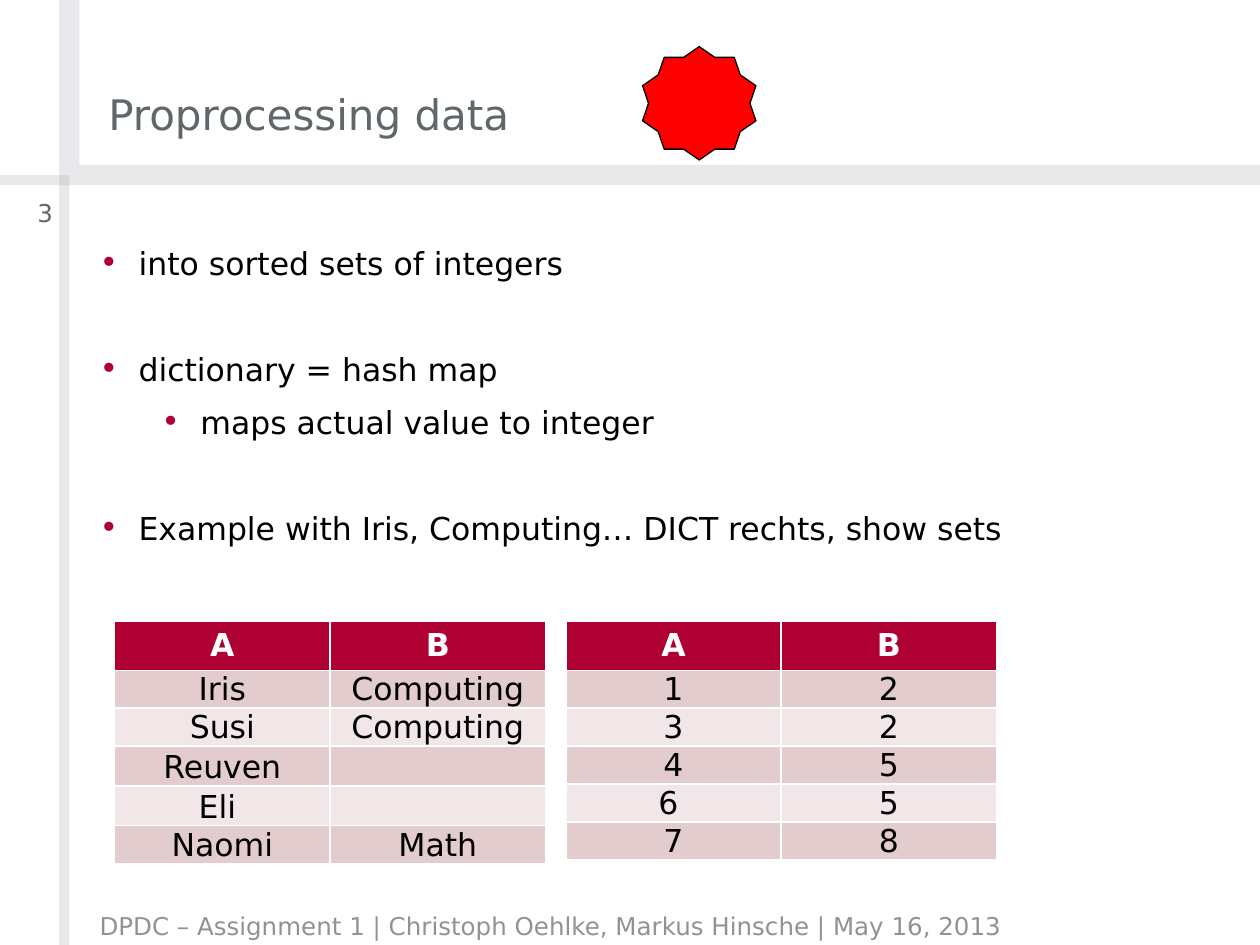
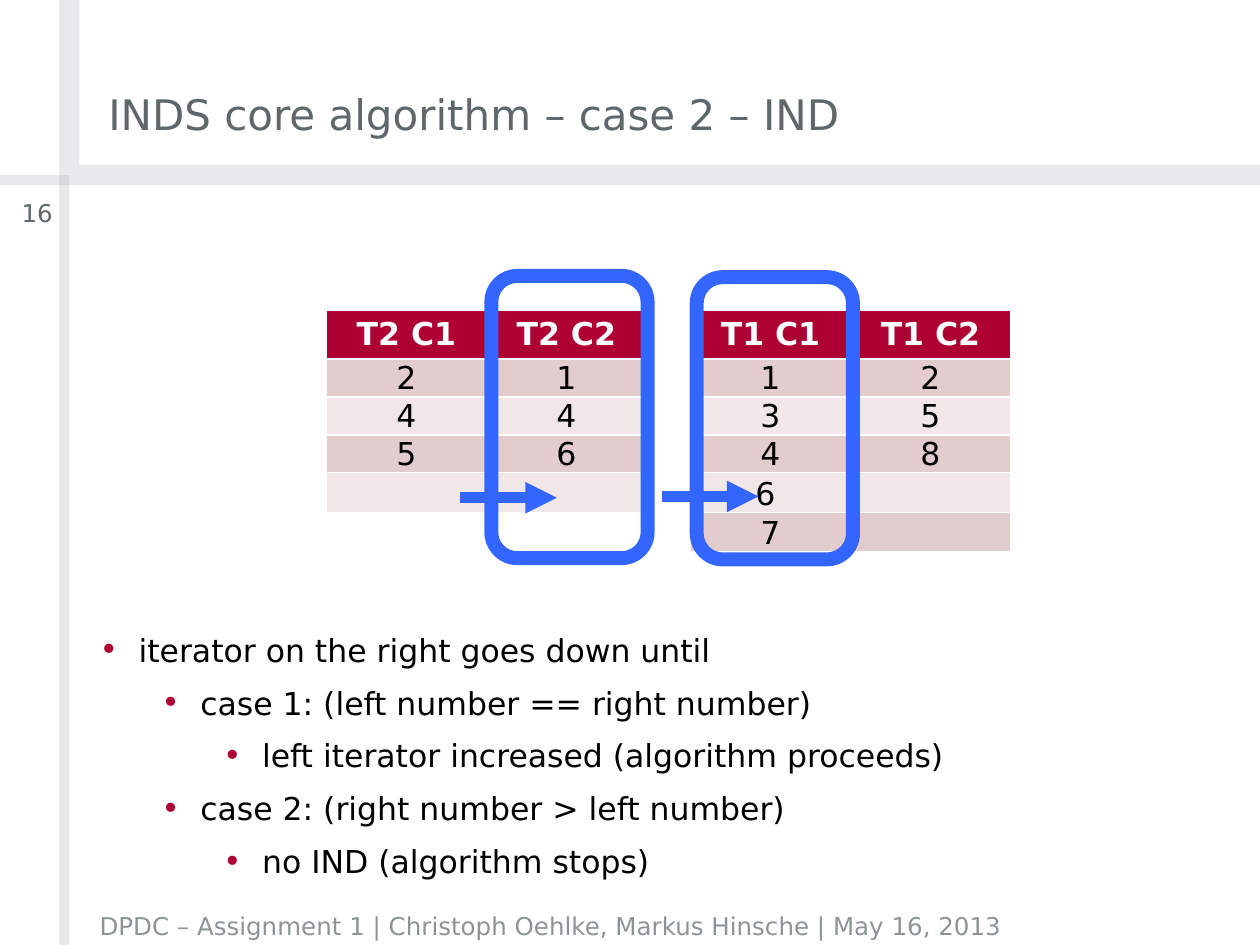
from lxml.etree import SubElement
from pptx import Presentation
from pptx.dml.color import RGBColor
from pptx.enum.shapes import MSO_CONNECTOR, MSO_SHAPE
from pptx.enum.text import MSO_ANCHOR as Anchor, MSO_AUTO_SIZE, PP_ALIGN as Align
from pptx.oxml.ns import qn
from pptx.util import Inches, Pt

# Shared look
FONT = "DejaVu Sans"
CRIMSON, GREY, LIGHT_GREY = "AF0034", "60676A", "8E9496"
BLACK, WHITE, RED, BLUE = "000000", "FFFFFF", "FF0000", "3366FF"
ROW_FILLS = ("E3CCCE", "F2E7E8")
WIDTH, HEIGHT = 10, 7.5
RAIL, BAND_TOP, BAND_BOTTOM = 0.47, 1.31, 1.47
BAND = BAND_BOTTOM - BAND_TOP
CONTENT_LEFT, CONTENT_WIDTH = 0.79, 8.94
HEADER_ROW, BODY_ROW = 0.37, 0.3
LINE_PITCH, SPACE_BEFORE = 30.3, 5.4
FOOTER = "DPDC – Assignment 1 | Christoph Oehlke, Markus Hinsche | May 16, 2013"

# Content: bullets are (level, text, lines of gap above)
PREPROCESSING = {
    "number": "3",
    "title": "Proprocessing data",
    "body": (1.89, 5.24),
    "bullets": [
        (0, "into sorted sets of integers", 0),
        (0, "dictionary = hash map", 1),
        (1, "maps actual value to integer", 0),
        (0, "Example with Iris, Computing… DICT rechts, show sets", 1),
    ],
    "tables": [
        (0.91, 4.93, 1.71, [("A", "B"), ("Iris", "Computing"), ("Susi", "Computing"),
                            ("Reuven", ""), ("Eli ", ""), ("Naomi", "Math")]),
        (4.49, 4.93, 1.71, [("A", "B"), ("1", "2"), ("3", "2"),
                            ("4", "5"), ("6 ", "5"), ("7", "8")]),
    ],
}
CORE_ALGORITHM = {
    "number": "16",
    "title": "INDS core algorithm – case 2 – IND",
    "body": (4.96, 2.18),
    "bullets": [
        (0, "iterator on the right goes down until", 0),
        (1, "case 1: (left number == right number)", 0),
        (2, "left iterator increased (algorithm proceeds)", 0),
        (1, "case 2: (right number > left number)", 0),
        (2, "no IND (algorithm stops)", 0),
    ],
    "tables": [
        (5.48, 2.46, 1.27, [("T1 C1", "T1 C2"), ("1", "2"), ("3", "5"),
                            ("4", "8"), ("6 ", ""), ("7", "")]),
        (2.59, 2.46, 1.27, [("T2 C1", "T2 C2"), ("2", "1"), ("4", "4"),
                            ("5", "6"), ("", "")]),
    ],
}
STAR = (5.1, 0.37, 0.9)
COLUMN_FRAMES = [(3.9, 2.19), (5.53, 2.2)]
FRAME_SIZE = (1.24, 2.24)
ITERATOR_ARROWS = [(3.65, 3.95), (5.25, 3.94)]
ARROW_LENGTH = 0.77


def color(value):
    return RGBColor.from_string(value)


def box(*lengths):
    return [Inches(length) for length in lengths]


def place(shape, left, top, width, height):
    shape.left, shape.top, shape.width, shape.height = box(left, top, width, height)


def add_run(paragraph, text, size, text_color, bold=False):
    run = paragraph.add_run()
    run.text = text
    run.font.name, run.font.size, run.font.bold = FONT, Pt(size), bold
    run.font.color.rgb = color(text_color)


def prepare_frame(frame, anchor):
    frame.margin_left = frame.margin_top = frame.margin_right = frame.margin_bottom = 0
    frame.word_wrap = True
    frame.auto_size = MSO_AUTO_SIZE.NONE
    frame.vertical_anchor = anchor


def add_label(slide, area, text, text_color, anchor, align):
    frame = slide.shapes.add_textbox(*box(*area)).text_frame
    prepare_frame(frame, anchor)
    frame.paragraphs[0].alignment = align
    add_run(frame.paragraphs[0], text, 14, text_color)


def add_figure(slide, kind, area, fill=None, line=None, line_width=0.75):
    shape = slide.shapes.add_shape(kind, *box(*area))
    shape.shadow.inherit = False
    if fill:
        shape.fill.solid()
        shape.fill.fore_color.rgb = color(fill)
    else:
        shape.fill.background()
    if line:
        shape.line.color.rgb = color(line)
        shape.line.width = Pt(line_width)
    else:
        shape.line.fill.background()
    return shape


def add_bands(slide):
    half = BAND / 2
    bands = [
        (RAIL, 0, BAND, BAND_TOP),
        (RAIL, BAND_TOP, WIDTH - RAIL, BAND),
        (RAIL, BAND_BOTTOM, half, HEIGHT - BAND_BOTTOM),
        (0, BAND_BOTTOM - half, RAIL + half, half),
    ]
    for area in bands:
        band = add_figure(slide, MSO_SHAPE.RECTANGLE, area, LIGHT_GREY)
        fill_color = band.fill._xPr.find(qn("a:solidFill"))[0]
        SubElement(fill_color, qn("a:alpha"), val="20000")


def add_bullets(frame, bullets):
    for index, (level, text, gap) in enumerate(bullets):
        paragraph = frame.paragraphs[0] if index == 0 else frame.add_paragraph()
        paragraph.level = level
        paragraph.alignment = Align.LEFT
        paragraph.line_spacing = 1.15
        paragraph.space_before = Pt(SPACE_BEFORE + gap * LINE_PITCH)
        properties = paragraph._p.get_or_add_pPr()
        properties.set("marL", str(Inches(0.31 + 0.49 * level)))
        properties.set("indent", str(Inches(-0.31)))
        bullet_color = SubElement(properties, qn("a:buClr"))
        SubElement(bullet_color, qn("a:srgbClr"), val=CRIMSON)
        SubElement(properties, qn("a:buFont"), typeface=FONT)
        SubElement(properties, qn("a:buChar"), char="•")
        add_run(paragraph, text, 18, BLACK)


def add_data_table(slide, left, top, column_width, rows):
    columns = len(rows[0])
    height = HEADER_ROW + BODY_ROW * (len(rows) - 1)
    table = slide.shapes.add_table(
        len(rows), columns, *box(left, top, column_width * columns, height)).table
    for column in table.columns:
        column.width = Inches(column_width)
    for row_index, values in enumerate(rows):
        header = row_index == 0
        table.rows[row_index].height = Inches(HEADER_ROW if header else BODY_ROW)
        for column_index, value in enumerate(values):
            cell = table.cell(row_index, column_index)
            cell.fill.solid()
            cell.fill.fore_color.rgb = color(
                CRIMSON if header else ROW_FILLS[(row_index - 1) % 2])
            if not header:
                cell.margin_left = cell.margin_top = cell.margin_right = Inches(0.01)
                cell.margin_bottom = 0
                cell.vertical_anchor = Anchor.BOTTOM
            paragraph = cell.text_frame.paragraphs[0]
            paragraph.alignment = Align.CENTER
            if value:
                add_run(paragraph, value, 18, WHITE if header else BLACK, header)


def add_arrow(slide, left, top):
    arrow = slide.shapes.add_connector(
        MSO_CONNECTOR.STRAIGHT, *box(left, top, left + ARROW_LENGTH, top))
    arrow.line.color.rgb = color(BLUE)
    arrow.line.width = Pt(6)
    SubElement(arrow.line._get_or_add_ln(), qn("a:tailEnd"), type="triangle")
    SubElement(arrow._element.spPr, qn("a:effectLst"))


def add_content_slide(presentation, content):
    slide = presentation.slides.add_slide(presentation.slide_layouts[1])
    add_bands(slide)
    # Title and bullets
    title, body = slide.shapes.title, slide.placeholders[1]
    place(title, 0.86, 0, 6.83, 1.1)
    prepare_frame(title.text_frame, Anchor.BOTTOM)
    title.text_frame.paragraphs[0].alignment = Align.LEFT
    add_run(title.text_frame.paragraphs[0], content["title"], 24, GREY)
    top, height = content["body"]
    place(body, CONTENT_LEFT, top, CONTENT_WIDTH, height)
    prepare_frame(body.text_frame, Anchor.TOP)
    add_bullets(body.text_frame, content["bullets"])
    # Footer and slide number
    add_label(slide, (CONTENT_LEFT, 7.18, CONTENT_WIDTH, 0.28), FOOTER, LIGHT_GREY,
              Anchor.BOTTOM, Align.LEFT)
    add_label(slide, (-0.18, 1.57, 0.6, 0.36), content["number"], GREY,
              Anchor.TOP, Align.RIGHT)
    for table in content["tables"]:
        add_data_table(slide, *table)
    return slide


presentation = Presentation()
presentation.slide_width, presentation.slide_height = box(WIDTH, HEIGHT)

# Preprocessing, with its marker star
slide = add_content_slide(presentation, PREPROCESSING)
left, top, size = STAR
add_figure(slide, MSO_SHAPE.STAR_10_POINT, (left, top, size, size), RED, BLACK)

# Core algorithm, with framed columns and iterator arrows
slide = add_content_slide(presentation, CORE_ALGORITHM)
for corner in COLUMN_FRAMES:
    add_figure(slide, MSO_SHAPE.ROUNDED_RECTANGLE, corner + FRAME_SIZE,
               line=BLUE, line_width=8)
for start in ITERATOR_ARROWS:
    add_arrow(slide, *start)

presentation.save("out.pptx")
